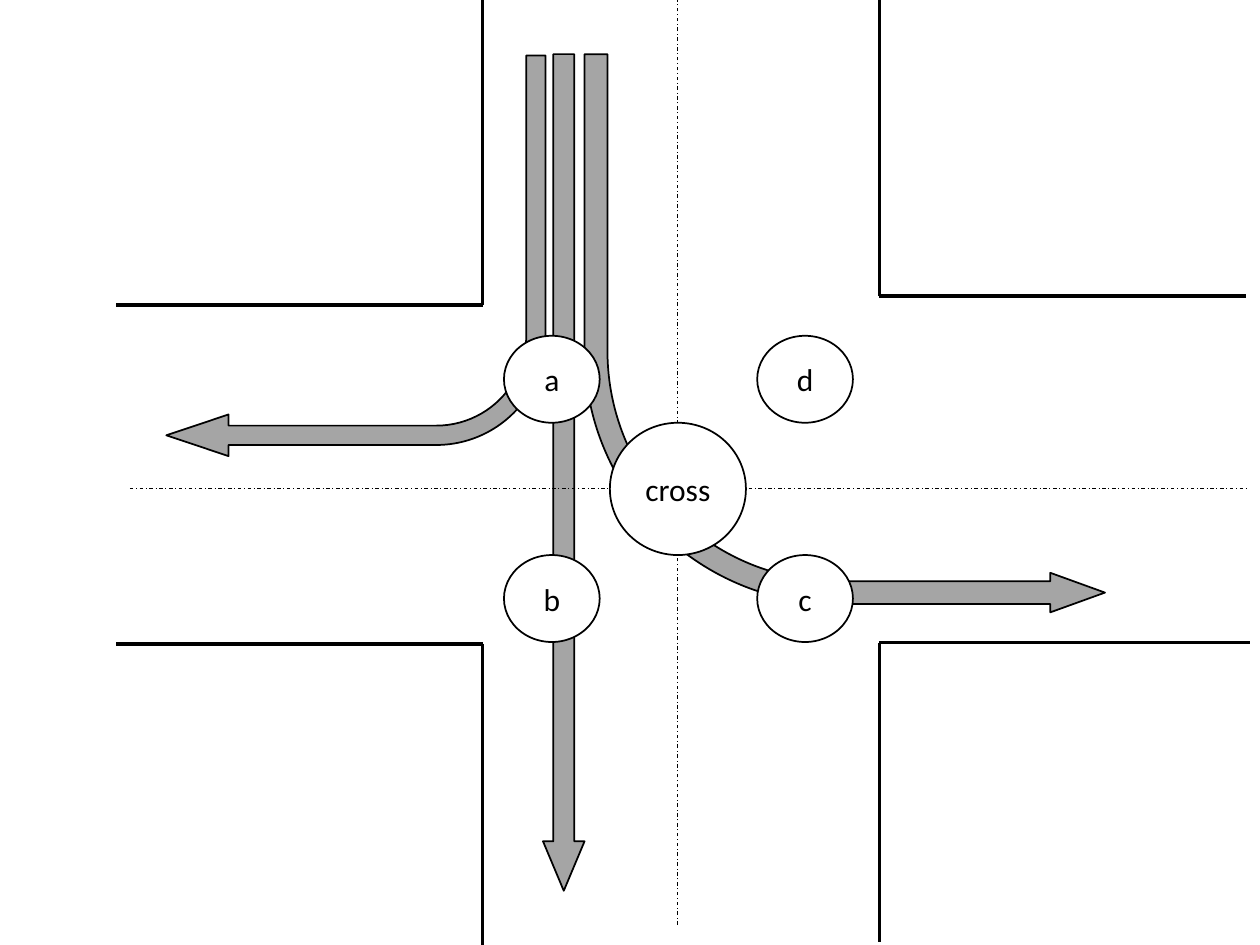
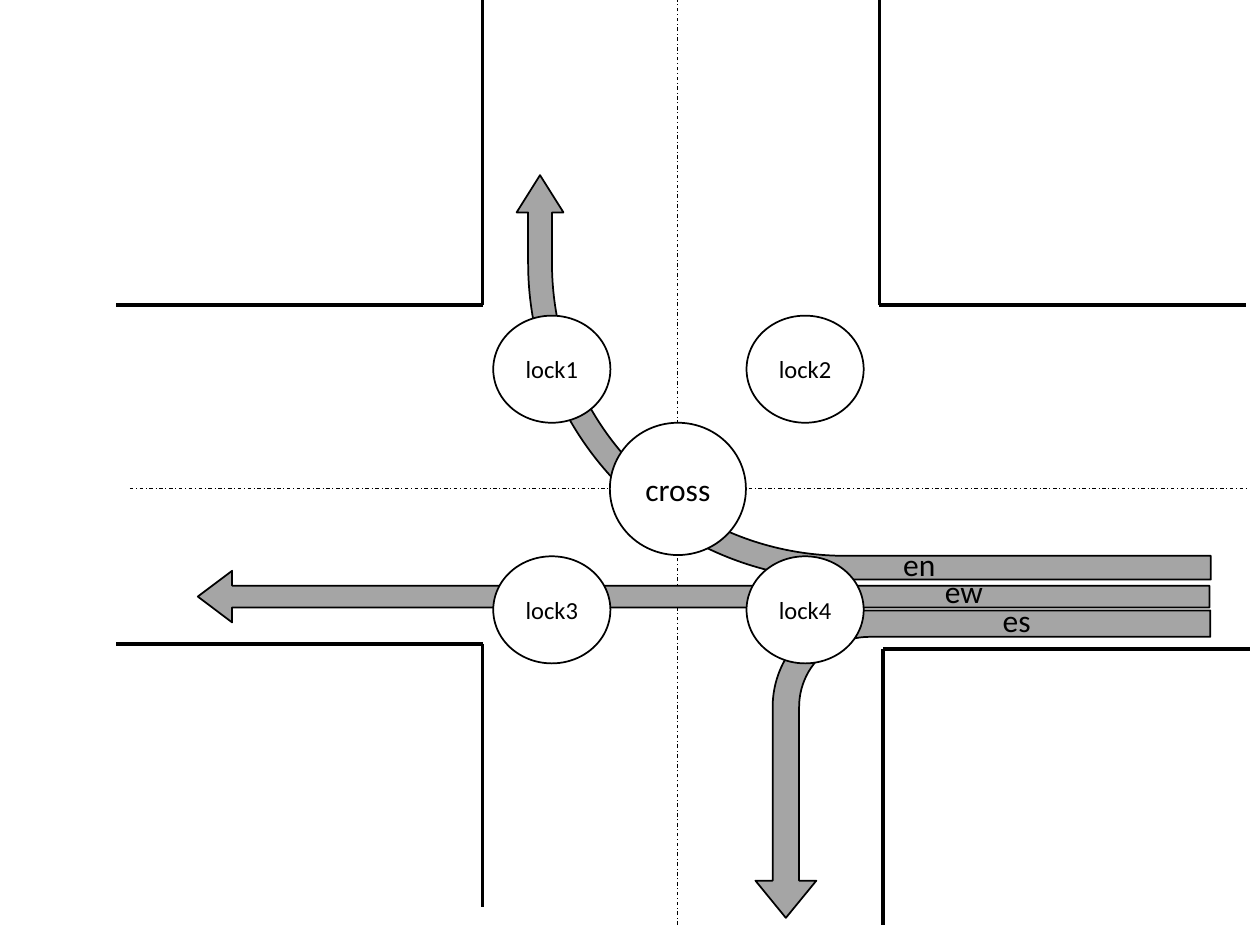
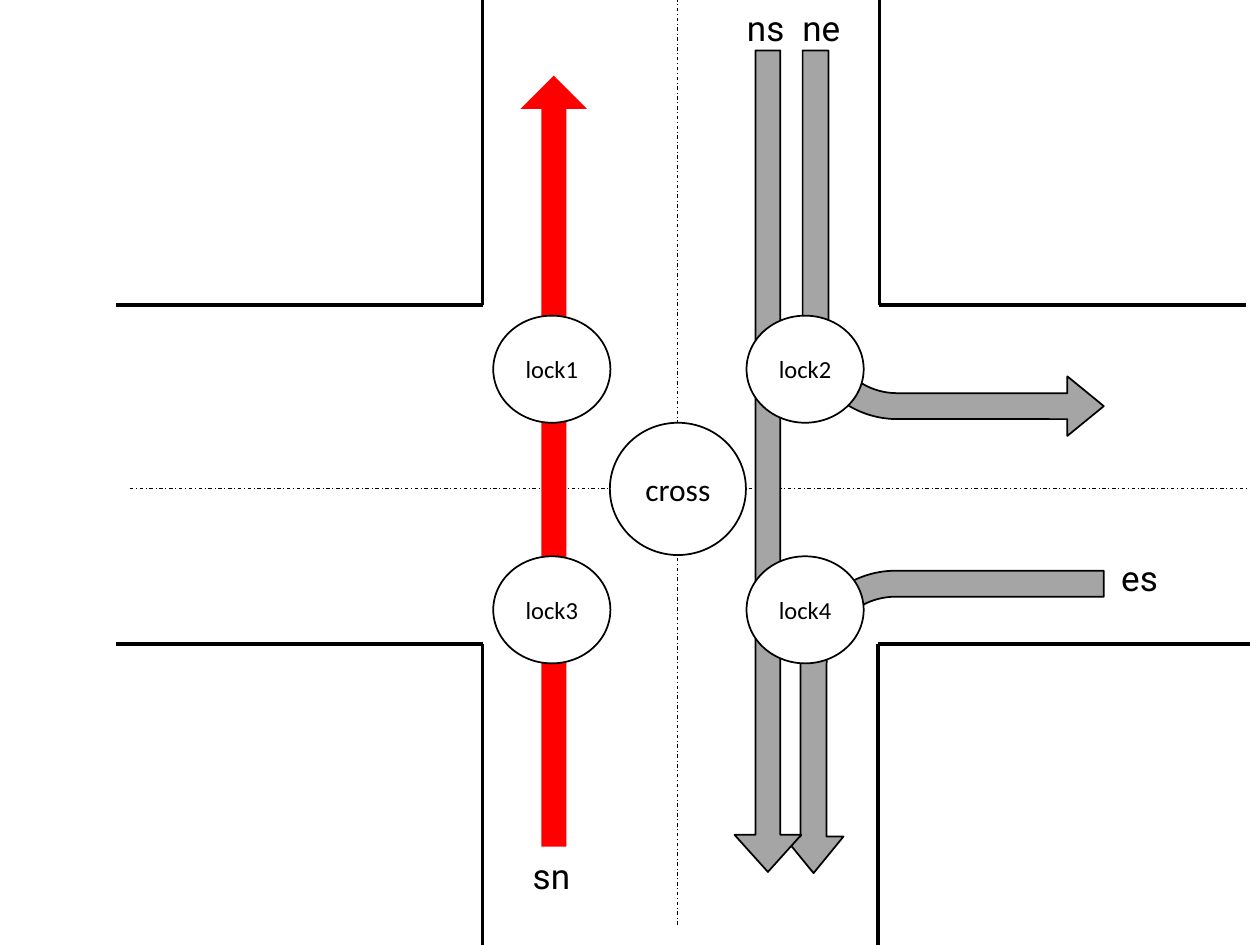
from pptx import Presentation
from pptx.dml.color import RGBColor
from pptx.enum.dml import MSO_LINE_DASH_STYLE as DASH
from pptx.enum.shapes import MSO_CONNECTOR, MSO_SHAPE
from pptx.enum.text import MSO_ANCHOR, MSO_AUTO_SIZE, PP_ALIGN
from pptx.oxml.ns import qn
from pptx.util import Inches, Pt
from lxml import etree

BLACK = RGBColor(0x00, 0x00, 0x00)
WHITE = RGBColor(0xFF, 0xFF, 0xFF)
GREY = RGBColor(0xA5, 0xA5, 0xA5)
RED = RGBColor(0xFF, 0x00, 0x00)

# Shared geometry of the crossing
WEST, EAST, NORTH, SOUTH = 0.92, 9.89, 0, 7.5
EAST_LOW = 9.92
ROAD_LEFT, ROAD_RIGHT = 3.83, 6.98
ROAD_TOP, ROAD_BOTTOM = 2.42, 5.11
CENTER_X, CENTER_Y = 5.38, 3.88
LOCK_X = (4.38, 6.39)
LOCK_Y = (2.93, 4.84)


class Diagram:
    """Holds the style and the current slide."""

    def __init__(self):
        self.presentation = Presentation()
        self.presentation.slide_width = Inches(10)
        self.presentation.slide_height = Inches(7.5)
        self.slide = None

    def new_slide(self):
        layout = self.presentation.slide_layouts[6]
        self.slide = self.presentation.slides.add_slide(layout)

    def line(self, start, end, width=2, dash=None):
        points = [Inches(value) for value in (*start, *end)]
        connector = self.slide.shapes.add_connector(MSO_CONNECTOR.STRAIGHT, *points)
        connector.line.color.rgb = BLACK
        connector.line.width = Pt(width)
        if dash:
            connector.line.dash_style = dash
        etree.SubElement(connector._element.spPr, qn("a:effectLst"))

    def curb(self, x, y, end_x, end_y):
        """Draw the corner of one block: a vertical and a horizontal edge."""
        self.line((x, y), (x, end_y))
        self.line((x, y), (end_x, y))

    def west_curbs(self, bottom=SOUTH):
        self.curb(ROAD_LEFT, ROAD_TOP, WEST, NORTH)
        self.curb(ROAD_LEFT, ROAD_BOTTOM, WEST, bottom)

    def center_lines(self):
        self.line((1.03, CENTER_Y), (EAST, CENTER_Y), 0.5, DASH.DASH_DOT)
        self.line((CENTER_X, 7.34), (CENTER_X, NORTH), 0.5, DASH.DASH_DOT)

    def shape(self, kind, left, top, width, height, fill, outlined=True):
        frame = [Inches(value) for value in (left, top, width, height)]
        shape = self.slide.shapes.add_shape(kind, *frame)
        shape.shadow.inherit = False
        shape.fill.solid()
        shape.fill.fore_color.rgb = fill
        if outlined:
            shape.line.color.rgb = BLACK
            shape.line.width = Pt(1)
        else:
            shape.line.fill.background()
        return shape

    def arrow(self, kind, frame, adjustments, rotation=0, flip=False,
              fill=GREY, outlined=True):
        shape = self.shape(kind, *frame, fill, outlined)
        for index, value in enumerate(adjustments):
            shape.adjustments[index] = value
        shape.rotation = rotation
        if flip:
            shape._element.spPr.find(qn("a:xfrm")).set("flipH", "1")

    def text_run(self, paragraph, text, size, font="Calibri"):
        run = paragraph.add_run()
        run.text = text
        run.font.size = Pt(size)
        run.font.name = font
        run.font.color.rgb = BLACK

    def circle(self, text, center_x, center_y, width, height, size):
        shape = self.shape(MSO_SHAPE.OVAL, center_x - width / 2,
                           center_y - height / 2, width, height, WHITE)
        shape.text_frame.vertical_anchor = MSO_ANCHOR.MIDDLE
        paragraph = shape.text_frame.paragraphs[0]
        paragraph.alignment = PP_ALIGN.CENTER
        self.text_run(paragraph, text, size)

    def cross(self):
        self.circle("cross", CENTER_X, CENTER_Y, 1.08, 1.05, 18)

    def locks(self):
        for index in range(4):
            row, column = divmod(index, 2)
            self.circle(f"lock{index + 1}", LOCK_X[column], LOCK_Y[row],
                        0.93, 0.85, 14)

    def label(self, text, left, top, width, height, size, font):
        frame = [Inches(value) for value in (left, top, width, height)]
        text_frame = self.slide.shapes.add_textbox(*frame).text_frame
        text_frame.word_wrap = True
        text_frame.auto_size = MSO_AUTO_SIZE.SHAPE_TO_FIT_TEXT
        self.text_run(text_frame.paragraphs[0], text, size, font)


diagram = Diagram()

# Slide 1: traffic from the north
diagram.new_slide()
diagram.west_curbs()
diagram.curb(ROAD_RIGHT, 2.35, EAST, NORTH)
diagram.curb(ROAD_RIGHT, 5.1, EAST_LOW, 7.48)
diagram.arrow(MSO_SHAPE.DOWN_ARROW, (4.31, 0.43, 0.33, 6.64), (0.5, 1.19))
diagram.arrow(MSO_SHAPE.BENT_ARROW, (1.32, 0.44, 3.01, 3.18),
              (0.051, 0.055, 0.164, 0.288), 180)
diagram.arrow(MSO_SHAPE.BENT_ARROW, (4.64, 0.43, 4.13, 4.43),
              (0.044, 0.038, 0.105, 0.486), 180, flip=True)
for name, column, y in (("a", 0, 3.01), ("b", 0, 4.75),
                        ("c", 1, 4.75), ("d", 1, 3.01)):
    diagram.circle(name, LOCK_X[column], y, 0.76, 0.69, 18)
diagram.center_lines()
diagram.cross()

# Slide 2: traffic from the east
diagram.new_slide()
diagram.west_curbs(bottom=7.2)
diagram.curb(ROAD_RIGHT, ROAD_TOP, EAST, NORTH)
diagram.curb(7.01, 5.15, EAST_LOW, 7.34)
diagram.center_lines()
diagram.arrow(MSO_SHAPE.LEFT_ARROW, (1.57, 4.53, 8.03, 0.41), (0.421, 0.665))
diagram.arrow(MSO_SHAPE.BENT_ARROW, (5.25, 0.24, 3.21, 5.51),
              (0.059, 0.058, 0.092, 0.783), 270)
TURN = (0.086, 0.099, 0.121, 0.314)
diagram.arrow(MSO_SHAPE.BENT_ARROW, (6.58, 4.26, 2.44, 3.61), TURN, 270, flip=True)
diagram.cross()
diagram.locks()
for name, left, top in (("en", 7.07, 4.28), ("ew", 7.4, 4.49), ("es", 7.86, 4.72)):
    diagram.label(name, left, top, 0.55, 0.4, 18, "Calibri")

# Slide 3: a northbound lane beside the lanes it does not meet
diagram.new_slide()
diagram.west_curbs()
diagram.curb(ROAD_RIGHT, ROAD_TOP, EAST, NORTH)
diagram.curb(6.97, ROAD_BOTTOM, EAST_LOW, SOUTH)
diagram.center_lines()
diagram.arrow(MSO_SHAPE.BENT_ARROW, (6.29, 4.46, 2.4, 2.54), TURN, 270, flip=True)
diagram.arrow(MSO_SHAPE.BENT_ARROW, (6.37, 0.4, 2.39, 3.06), TURN, 180, flip=True)
diagram.arrow(MSO_SHAPE.DOWN_ARROW, (5.83, 0.4, 0.53, 6.52), (0.374, 0.555))
diagram.arrow(MSO_SHAPE.DOWN_ARROW, (4.13, 0.6, 0.53, 6.12), (0.374, 0.5), 180,
              fill=RED, outlined=False)
diagram.cross()
diagram.locks()
for name, left, top, width in (("sn", 4.13, 6.73, 1.2), ("es", 8.8, 4.37, 0.51),
                               ("ne", 6.27, 0, 0.67), ("ns", 5.83, 0, 0.53)):
    diagram.label(name, left, top, width, 0.44, 20, "Roboto")

diagram.presentation.save("out.pptx")
